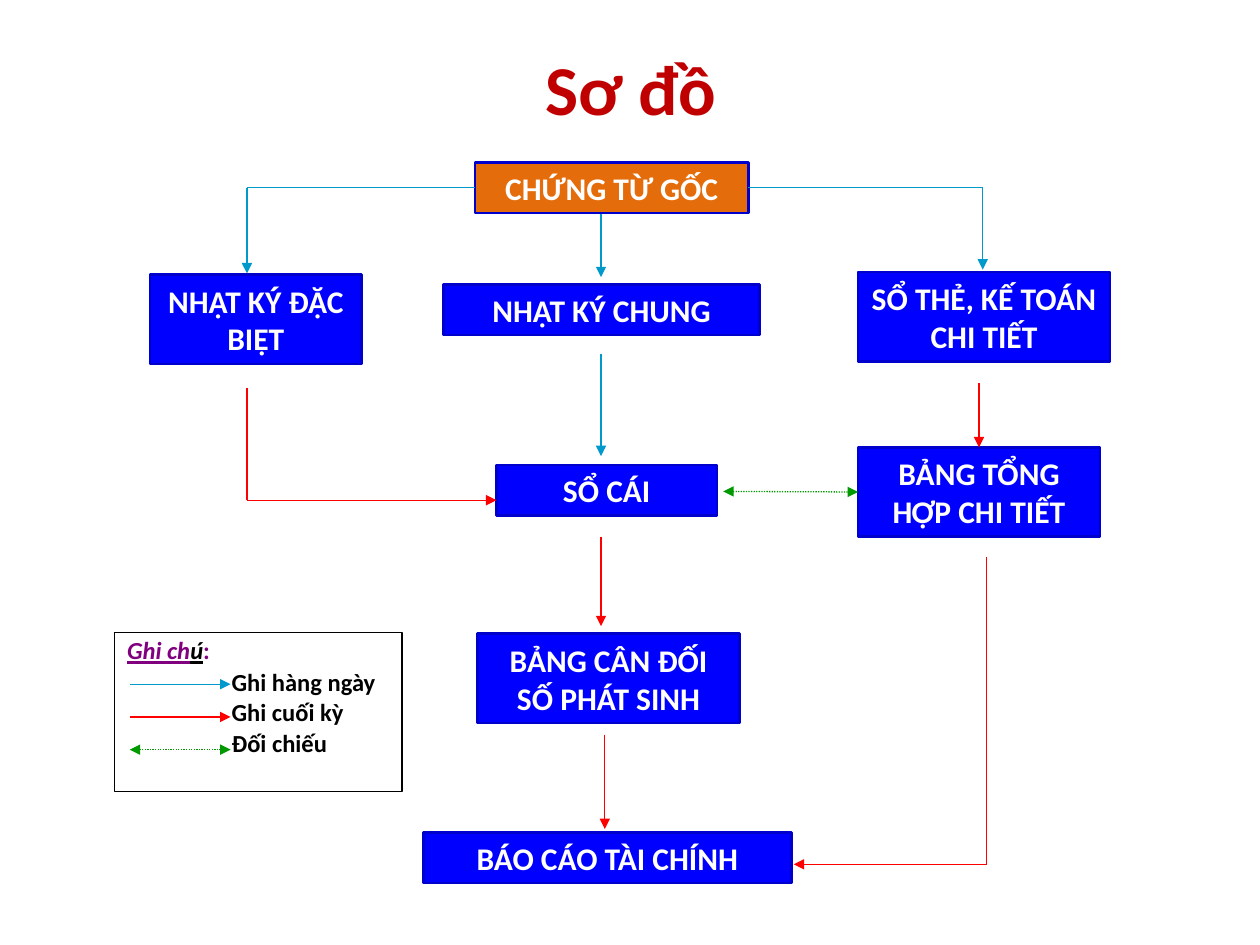
from lxml.etree import SubElement
from pptx import Presentation
from pptx.dml.color import RGBColor
from pptx.enum.dml import MSO_LINE
from pptx.enum.shapes import MSO_CONNECTOR, MSO_SHAPE
from pptx.enum.text import MSO_ANCHOR, PP_ALIGN
from pptx.oxml.ns import qn
from pptx.util import Inches, Pt

WHITE = RGBColor(0xFF, 0xFF, 0xFF)
BLACK = RGBColor(0, 0, 0)
BLUE = RGBColor(0, 0, 0xFF)
BORDER = RGBColor(0, 0, 0xCC)
ORANGE = RGBColor(0xE4, 0x6C, 0x0A)
TITLE_RED = RGBColor(0xC0, 0, 0)
PURPLE = RGBColor(0x80, 0, 0x80)
DAILY = RGBColor(0, 0x99, 0xCC)
PERIOD_END = RGBColor(0xFF, 0, 0)
CHECK = RGBColor(0, 0x99, 0)

FONT = "Calibri"
# Flow columns, and the heights of one-line and two-line boxes, in inches
LEFT, MIDDLE, RIGHT = 1.96, 4.77, 7.8
ONE_LINE, TWO_LINES = 0.4, 0.71
TOP_SIDE, LEFT_SIDE, RIGHT_SIDE = 0, 1, 3


def set_font(font, size, color, italic=None, underline=None):
    font.name, font.size, font.bold = FONT, Pt(size), True
    font.color.rgb = color
    font.italic, font.underline = italic, underline


def add_title(slide, text):
    title = slide.shapes.title
    title.left, title.top = Inches(1.86), Inches(0.21)
    title.width, title.height = Inches(6.29), Inches(1.05)
    title.text = text
    frame = title.text_frame
    frame.vertical_anchor = MSO_ANCHOR.MIDDLE
    frame.margin_left = frame.margin_right = Inches(0.04)
    frame.margin_top = frame.margin_bottom = Inches(0.04)
    heading = frame.paragraphs[0]
    heading.alignment = PP_ALIGN.CENTER
    heading.line_spacing = 0.9
    set_font(heading.font, 40, TITLE_RED)


def add_rectangle(slide, left, top, width, height, border, weight):
    rectangle = slide.shapes.add_shape(
        MSO_SHAPE.RECTANGLE, Inches(left), Inches(top), Inches(width), Inches(height))
    rectangle.shadow.inherit = False
    rectangle.line.color.rgb = border
    rectangle.line.width = Pt(weight)
    rectangle.text_frame.word_wrap = True
    return rectangle


def add_box(slide, text, left, top, width, height=ONE_LINE, fill=BLUE):
    box = add_rectangle(slide, left, top, width, height, BORDER, 1.5)
    box.fill.solid()
    box.fill.fore_color.rgb = fill
    box.text_frame.text = text
    label = box.text_frame.paragraphs[0]
    label.alignment = PP_ALIGN.CENTER
    set_font(label.font, 18, WHITE)
    return box


def add_line(slide, start, end, color, arrow=True, both_ways=False):
    line = slide.shapes.add_connector(
        MSO_CONNECTOR.STRAIGHT, *(Inches(length) for length in (*start, *end)))
    line.line.color.rgb = color
    line.line.width = Pt(0.75)
    if both_ways:
        line.line.dash_style = MSO_LINE.ROUND_DOT
    outline = line.line._get_or_add_ln()
    for end_tag, wanted in (("a:headEnd", both_ways), ("a:tailEnd", arrow)):
        if wanted:
            SubElement(outline, qn(end_tag), type="triangle")
    SubElement(line._element.spPr, qn("a:effectLst"))
    return line


def add_elbow(slide, start, corner, end, color):
    """Two straight legs; returns the first, which has no arrowhead."""
    first_leg = add_line(slide, start, corner, color, arrow=False)
    add_line(slide, corner, end, color)
    return first_leg


def add_legend(slide, left, top):
    legend = add_rectangle(slide, left, top, 2.28, 1.26, BLACK, 0.75)
    legend.fill.background()
    frame = legend.text_frame
    frame.vertical_anchor = MSO_ANCHOR.TOP

    # Heading in three differently formatted pieces
    heading = frame.paragraphs[0]
    heading.alignment = PP_ALIGN.LEFT
    heading.line_spacing = 0.9
    for text, color, marked in (("Ghi ch", PURPLE, True), ("ú", BLACK, True),
                                (":", PURPLE, False)):
        run = heading.add_run()
        run.text = text
        set_font(run.font, 14, color, marked, marked)

    # One indented entry and one sample line per kind of flow
    entries = (("Ghi hàng ngày", DAILY), ("Ghi cuối kỳ", PERIOD_END),
               ("Đối chiếu", CHECK))
    for row, (text, color) in enumerate(entries):
        entry = frame.add_paragraph()
        entry.text = text
        entry.alignment = PP_ALIGN.JUSTIFY
        entry.line_spacing = 0.7
        entry.space_before = Pt(5.6)
        entry._p.get_or_add_pPr().set("marL", str(Inches(0.83)))
        set_font(entry.font, 14, BLACK)
        y = top + 0.41 + 0.26 * row
        add_line(slide, (left + 0.12, y), (left + 0.92, y), color,
                 both_ways=color == CHECK)


def main():
    deck = Presentation()
    deck.slide_width, deck.slide_height = Inches(10), Inches(7.5)
    slide = deck.slides.add_slide(deck.slide_layouts[5])
    add_title(slide, "Sơ đồ")

    # Documents, journals, ledgers and reports
    vouchers = add_box(slide, "CHỨNG TỪ GỐC", 3.77, 1.29, 2.17, fill=ORANGE)
    add_box(slide, "NHẬT KÝ ĐẶC BIỆT", 1.19, 2.18, 1.68, TWO_LINES)
    add_box(slide, "NHẬT KÝ CHUNG", 3.52, 2.26, 2.51)
    add_box(slide, "SỔ THẺ, KẾ TOÁN CHI TIẾT", 6.81, 2.16, 2, TWO_LINES)
    add_box(slide, "SỔ CÁI", 3.94, 3.69, 1.75)
    summary = add_box(slide, "BẢNG TỔNG HỢP CHI TIẾT", 6.81, 3.55, 1.92, TWO_LINES)
    add_box(slide, "BẢNG CÂN ĐỐI SỐ PHÁT SINH", 3.79, 5.03, 2.08, TWO_LINES)
    add_box(slide, "BÁO CÁO TÀI CHÍNH", 3.36, 6.61, 2.92)

    # Daily entries
    to_special = add_elbow(slide, (3.77, 1.49), (LEFT, 1.49), (LEFT, 2.17), DAILY)
    to_special.begin_connect(vouchers, LEFT_SIDE)
    to_detail = add_elbow(slide, (5.94, 1.49), (RIGHT, 1.49), (RIGHT, 2.14), DAILY)
    to_detail.begin_connect(vouchers, RIGHT_SIDE)
    add_line(slide, (MIDDLE, 1.7), (MIDDLE, 2.2), DAILY)
    add_line(slide, (MIDDLE, 2.81), (MIDDLE, 3.62), DAILY)

    # Period-end entries
    add_elbow(slide, (LEFT, 3.08), (LEFT, 3.97), (3.94, 3.97), PERIOD_END)
    to_summary = add_line(slide, (7.77, 3.04), (7.77, 3.55), PERIOD_END)
    to_summary.end_connect(summary, TOP_SIDE)
    add_line(slide, (MIDDLE, 4.26), (MIDDLE, 4.97), PERIOD_END)
    add_line(slide, (4.8, 5.83), (4.8, 6.58), PERIOD_END)
    add_elbow(slide, (7.83, 4.42), (7.83, 6.86), (6.3, 6.86), PERIOD_END)

    # Cross-check between ledger and summary
    cross_check = add_line(slide, (5.74, 3.9), (6.81, 3.9), CHECK, both_ways=True)
    cross_check.end_connect(summary, LEFT_SIDE)

    add_legend(slide, 0.91, 5.02)
    deck.save("out.pptx")


if __name__ == "__main__":
    main()
